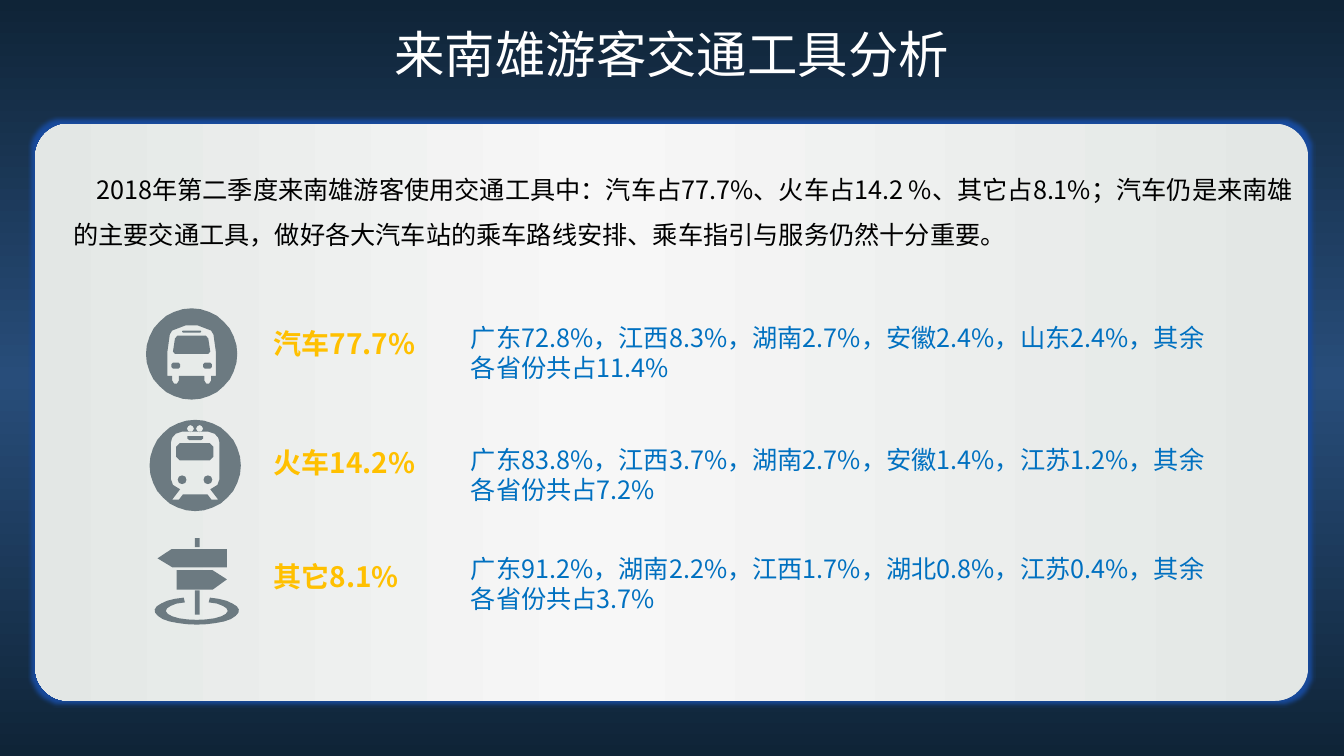
from math import cos, radians, sin

from lxml import etree
from pptx import Presentation
from pptx.dml.color import RGBColor
from pptx.enum.shapes import MSO_SHAPE
from pptx.enum.text import MSO_ANCHOR, MSO_AUTO_SIZE, PP_ALIGN
from pptx.oxml.ns import qn
from pptx.util import Cm, Pt

ROUNDED = MSO_SHAPE.ROUNDED_RECTANGLE
TOP, MIDDLE = MSO_ANCHOR.TOP, MSO_ANCHOR.MIDDLE
LEFT, CENTER = PP_ALIGN.LEFT, PP_ALIGN.CENTER
GROW = MSO_AUTO_SIZE.SHAPE_TO_FIT_TEXT

NAVY = RGBColor(0x0F, 0x24, 0x37)
STEEL = RGBColor(0x28, 0x4D, 0x7A)
MIST = RGBColor(0xE3, 0xE7, 0xE5)
PALE = RGBColor(0xF7, 0xF7, 0xF7)
GLOW = RGBColor(0x18, 0x4A, 0x9C)
SLATE = RGBColor(0x6C, 0x7A, 0x81)
AMBER = RGBColor(0xFF, 0xC0, 0x00)
BLUE = RGBColor(0x00, 0x70, 0xC0)
BLACK = RGBColor(0, 0, 0)
WHITE = RGBColor(0xFF, 0xFF, 0xFF)

ICON_SIZE = 230


def arc(cx, cy, rx, ry, start, end, steps):
    angles = [radians(start + (end - start) * i / steps) for i in range(steps + 1)]
    return [(cx + rx * cos(a), cy + ry * sin(a)) for a in angles]


def circle(cx, cy, radius, steps=8):
    return arc(cx, cy, radius, radius, 0, 360, steps)[:-1]


def box(left, top, right, bottom, cut):
    return [(left + cut, top), (right - cut, top), (right, top + cut),
            (right, bottom - cut), (right - cut, bottom), (left + cut, bottom),
            (left, bottom - cut), (left, top + cut)]


def mirror(half):
    return half + [(ICON_SIZE - x, y) for x, y in reversed(half)]


DISC = circle(115, 115, 115, 32)
BUS = [
    DISC,
    mirror([(100, 43), (79, 51), (66, 56), (60, 66), (54, 109), (54, 170),
            (66, 170), (66, 182), (71, 190), (78, 190), (83, 182), (83, 170)]),
    mirror([(79, 69), (73, 76), (68, 109), (73, 115)]),
    box(91, 56, 139, 61, 2),
    box(64, 137, 86, 152, 4),
    box(144, 137, 166, 152, 4),
]
TRAIN = [
    DISC,
    mirror([(81, 30), (66, 35), (57, 45), (54, 56), (54, 150), (59, 164),
            (77, 175), (57, 201), (74, 201), (84, 188)]),
    circle(103, 22, 9),
    circle(126, 22, 9),
    mirror([(95, 41), (95, 47), (100, 51)]),
    box(67, 59, 161, 102, 9),
    circle(82, 151, 11),
    circle(147, 151, 11),
]
SIGNPOST = [
    [(183, 74), (183, 28), (43, 28), (8, 51), (46, 74)],
    [(183, 104), (147, 81), (56, 81), (56, 130), (147, 130)],
    [(102, 0), (114, 0), (114, 23), (102, 23)],
    [(102, 132), (114, 132), (114, 193), (102, 193)],
    arc(107, 183, 106, 35, -72, 252, 24) + arc(107, 183, 78, 23, 247, -67, 18),
]

ROWS = [
    (BUS, 3.68, 7.77, "汽车77.7%", 8.1,
     "广东72.8%，江西8.3%，湖南2.7%，安徽2.4%，山东2.4%，其余各省份共占11.4%", 7.99),
    (TRAIN, 3.77, 10.58, "火车14.2%", 11.1,
     "广东83.8%，江西3.7%，湖南2.7%，安徽1.4%，江苏1.2%，其余各省份共占7.2%", 11.07),
    (SIGNPOST, 3.89, 13.56, "其它8.1%", 13.97,
     "广东91.2%，湖南2.2%，江西1.7%，湖北0.8%，江苏0.4%，其余各省份共占3.7%", 13.82),
]


def write(tf, text, font="Noto Sans CJK SC", size=18, color=BLACK, bold=False,
          align=LEFT, spacing=1.0, indent=0):
    p = tf.paragraphs[0]
    p.alignment = align
    p.line_spacing = spacing
    if indent:
        p._p.get_or_add_pPr().set("indent", str(Cm(indent)))
    r = p.add_run()
    r.text = text
    r.font.size = Pt(size)
    r.font.bold = bold
    r.font.color.rgb = color
    r.font.name = font
    etree.SubElement(r._r.get_or_add_rPr(), qn("a:ea"), typeface=font)


class Deck:
    font = "Noto Sans CJK SC"

    def __init__(self):
        self.prs = Presentation()
        self.prs.slide_width, self.prs.slide_height = Cm(33.87), Cm(19.05)
        self.s = self.prs.slides.add_slide(self.prs.slide_layouts[6])

    def gradient(self, fill, element, stops, angle):
        fill.gradient()
        fill.gradient_angle = angle
        stop_list = next(element.iter(qn("a:gsLst")))
        for old in list(stop_list):
            stop_list.remove(old)
        for position, color in stops:
            gs = etree.SubElement(stop_list, qn("a:gs"), pos=str(position * 1000))
            etree.SubElement(gs, qn("a:srgbClr"), val=str(color))

    def background(self, stops):
        self.gradient(self.s.background.fill, self.s._element, stops, 270)

    def panel(self, x, y, w, h, stops):
        sp = self.s.shapes.add_shape(ROUNDED, Cm(x), Cm(y), Cm(w), Cm(h))
        sp.adjustments[0] = 0.058
        sp.line.fill.background()
        self.gradient(sp.fill, sp._element, stops, 180)
        effects = etree.SubElement(sp._element.spPr, qn("a:effectLst"))
        glow = etree.SubElement(effects, qn("a:glow"), rad=str(Pt(5)))
        etree.SubElement(glow, qn("a:srgbClr"), val=str(GLOW))

    def text(self, x, y, w, h, text, anchor=TOP, **style):
        tf = self.s.shapes.add_textbox(Cm(x), Cm(y), Cm(w), Cm(h)).text_frame
        tf.word_wrap = True
        tf.vertical_anchor = anchor
        if anchor == TOP:
            tf.auto_size = GROW
        write(tf, text, font=self.font, **style)

    def icon(self, x, y, contours):
        first, *others = contours
        builder = self.s.shapes.build_freeform(*first[0], scale=Cm(0.01))
        builder.add_line_segments(first[1:])
        for contour in others:
            builder.move_to(*contour[0])
            builder.add_line_segments(contour[1:])
        sp = builder.convert_to_shape(Cm(x), Cm(y))
        sp.shadow.inherit = False
        sp.fill.solid()
        sp.fill.fore_color.rgb = SLATE
        sp.line.fill.background()


def main():
    deck = Deck()
    deck.background([(0, NAVY), (50, STEEL), (100, NAVY)])
    deck.panel(0.89, 3.12, 32.08, 14.54,
               [(0, MIST), (1, MIST), (56, PALE), (100, MIST)])
    deck.text(4.37, 0.64, 25.12, 1.6, "来南雄游客交通工具分析", anchor=MIDDLE,
              size=36, color=WHITE, align=CENTER, spacing=0.9)
    deck.text(1.6, 3.89, 31.24, 2.57,
              "2018年第二季度来南雄游客使用交通工具中：汽车占77.7%、火车占14.2 %、其它占8.1%；"
              "汽车仍是来南雄的主要交通工具，做好各大汽车站的乘车路线安排、乘车指引与服务仍然十分重要。",
              spacing=1.5, indent=0.58)
    for icon, x, y, share, share_y, origins, origins_y in ROWS:
        deck.icon(x, y, icon)
        deck.text(6.64, share_y, 5.33, 1.12, share, size=20, color=AMBER, bold=True)
        deck.text(11.62, origins_y, 19.3, 1.8, origins, color=BLUE)
    deck.prs.save("out.pptx")


if __name__ == "__main__":
    main()
